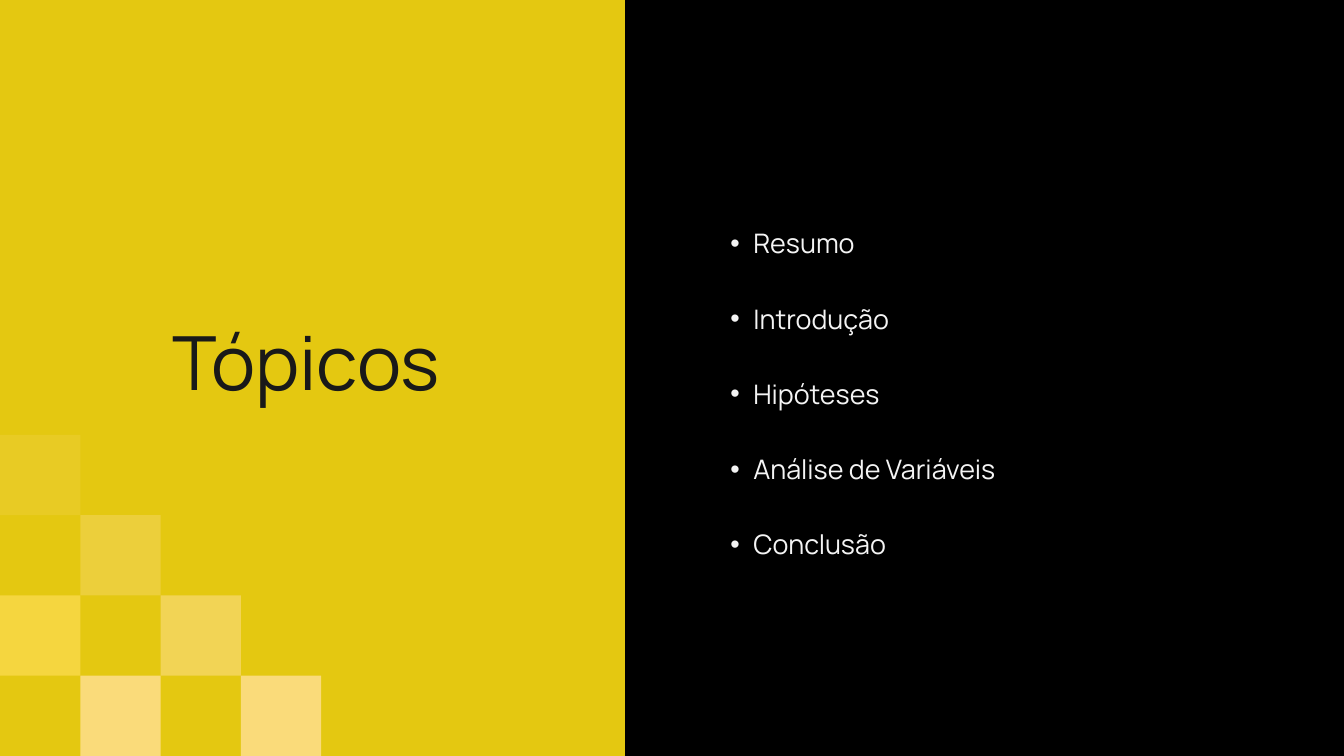
from lxml.etree import SubElement
from pptx import Presentation
from pptx.dml.color import RGBColor
from pptx.enum.shapes import MSO_SHAPE
from pptx.enum.text import MSO_ANCHOR, MSO_AUTO_SIZE, PP_ALIGN
from pptx.oxml.ns import qn
from pptx.util import Inches, Pt

WIDTH, HEIGHT = 20, 11.25
PANEL_WIDTH = 0.465 * WIDTH
CELL = 4.78 / 4
FONT = "Manrope"

BLACK = RGBColor(0x00, 0x00, 0x00)
MUSTARD = RGBColor(0xE4, 0xC8, 0x11)
CREAM = RGBColor(0xFA, 0xDB, 0x7A)
LEMON = RGBColor(0xFF, 0xDE, 0x59)
CHARCOAL = RGBColor(0x19, 0x19, 0x19)
OFF_WHITE = RGBColor(0xF4, 0xF4, 0xF4)

TOPICS = ["Resumo", "Introdução", "Hipóteses", "Análise de Variáveis", "Conclusão"]
TILES = [
    (3, 0, CREAM, 100),
    (2, 1, CREAM, 65),
    (1, 2, CREAM, 40),
    (0, 3, CREAM, 19),
    (0, 1, LEMON, 65),
    (1, 0, CREAM, 100),
]


def add_block(page, left, top, width, height, color, opacity=100):
    block = page.shapes.add_shape(
        MSO_SHAPE.RECTANGLE, Inches(left), Inches(top), Inches(width), Inches(height)
    )
    block.shadow.inherit = False
    block.fill.solid()
    block.fill.fore_color.rgb = color
    block.line.fill.background()
    if opacity < 100:
        color_element = block.fill._xPr.find(qn("a:solidFill"))[0]
        SubElement(color_element, qn("a:alpha"), val=str(opacity * 1000))


def add_tile(page, column, row, color, opacity):
    add_block(page, column * CELL, HEIGHT - (row + 1) * CELL, CELL, CELL, color, opacity)


def place_text(box, left, top, width, height):
    box.left, box.top = Inches(left), Inches(top)
    box.width, box.height = Inches(width), Inches(height)
    frame = box.text_frame
    frame.margin_left = frame.margin_right = 0
    frame.margin_top = frame.margin_bottom = 0
    frame.word_wrap = True
    frame.auto_size = MSO_AUTO_SIZE.NONE
    frame.vertical_anchor = MSO_ANCHOR.TOP
    return frame


def add_text(para, text, size, color, line_spacing):
    para.line_spacing = Pt(line_spacing)
    para.space_before = Pt(0)
    span = para.add_run()
    span.text = text
    span.font.name = FONT
    span.font.size = Pt(size)
    span.font.color.rgb = color


def add_bullet(para):
    para.level = 1
    properties = para._p.get_or_add_pPr()
    properties.set("marL", str(Inches(0.68)))
    properties.set("indent", str(Inches(-0.34)))
    SubElement(properties, qn("a:buChar"), char="•")


def add_title(page, text):
    title = page.shapes.title
    frame = place_text(title, 2.18, 4.7, 4.76, 1.43)
    para = frame.paragraphs[0]
    para.alignment = PP_ALIGN.CENTER
    add_text(para, text, 80, CHARCOAL, 96)


def add_topics(page, topics):
    frame = place_text(page.placeholders[1], 10.53, 3.3, 8.34, 4.97)
    for index, topic in enumerate(topics):
        para = frame.add_paragraph() if index else frame.paragraphs[0]
        add_text(para, topic, 28.8, OFF_WHITE, 40.3)
        para.space_after = Pt(40.3)
        add_bullet(para)


def bring_text_to_front(page):
    for box in list(page.placeholders):
        page.shapes._spTree.append(box._element)


def main():
    deck = Presentation()
    deck.slide_width, deck.slide_height = Inches(WIDTH), Inches(HEIGHT)
    page = deck.slides.add_slide(deck.slide_layouts[1])
    page.background.fill.solid()
    page.background.fill.fore_color.rgb = BLACK
    add_block(page, 0, 0, PANEL_WIDTH, HEIGHT, MUSTARD)
    for tile in TILES:
        add_tile(page, *tile)
    add_title(page, "Tópicos")
    add_topics(page, TOPICS)
    bring_text_to_front(page)
    deck.save("out.pptx")


if __name__ == "__main__":
    main()
